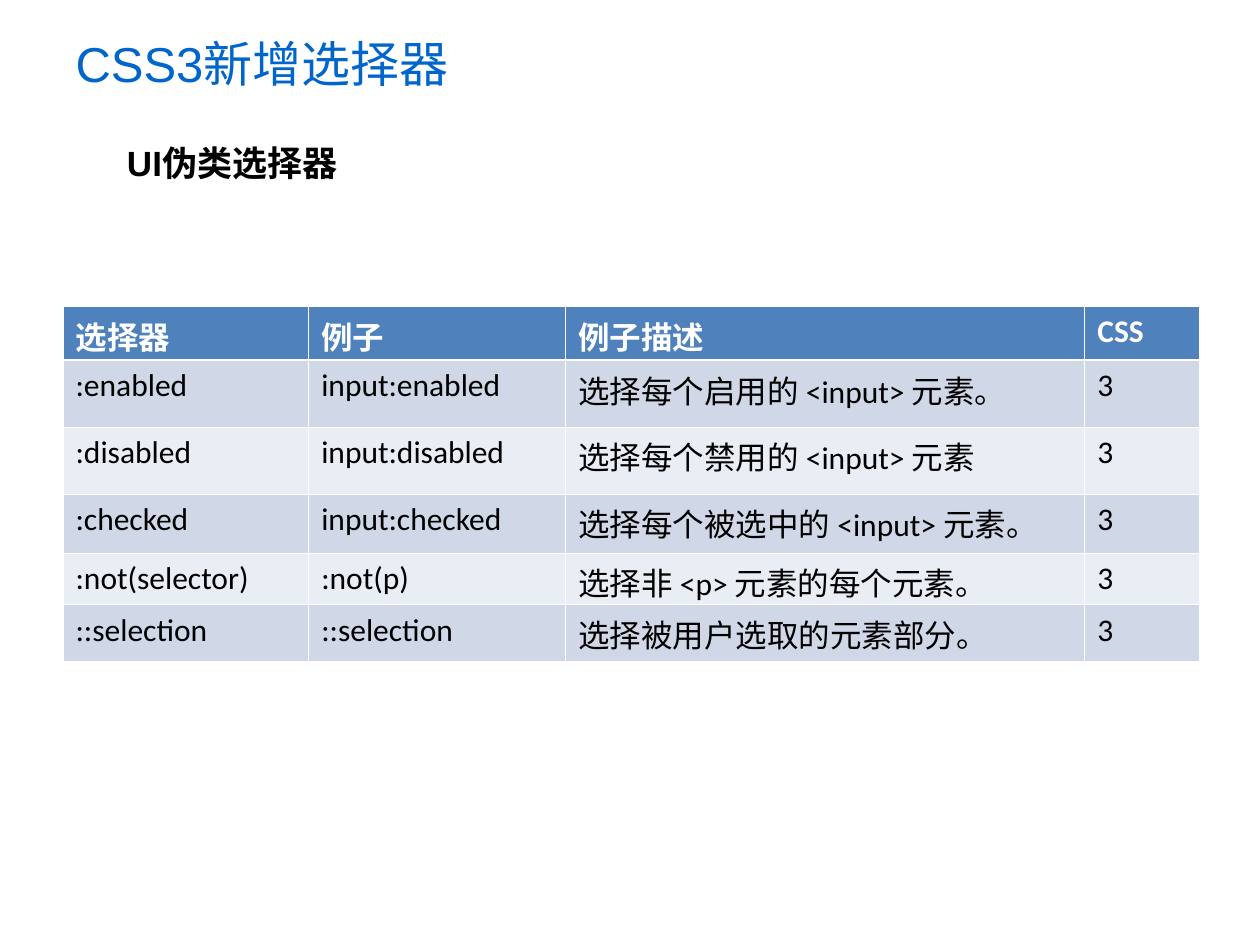
from lxml import etree
from pptx import Presentation
from pptx.dml.color import RGBColor
from pptx.enum.text import MSO_ANCHOR, PP_ALIGN
from pptx.oxml.ns import qn
from pptx.util import Inches, Pt

LEFT = PP_ALIGN.LEFT
MIDDLE = MSO_ANCHOR.MIDDLE
TITLE_ONLY = 5

COLOURS = {
    "title": "0066CC",
    "text": "000000",
    "white": "FFFFFF",
    "header": "4F81BD",
    "band_dark": "D0D8E8",
    "band_light": "E9EDF4",
}
THIN, THICK = 0.45, 1.47

COLUMN_WIDTHS = [1.95, 2.04, 4.12, 0.91]
ROW_HEIGHTS = [0.43, 0.53, 0.53, 0.47, 0.41, 0.45]
SELECTOR_ROWS = [
    ("选择器", "例子", "例子描述", "CSS"),
    (":enabled", "input:enabled", "选择每个启用的 <input> 元素。", "3"),
    (":disabled", "input:disabled", "选择每个禁用的 <input> 元素", "3"),
    (":checked", "input:checked", "选择每个被选中的 <input> 元素。", "3"),
    (":not(selector)", ":not(p)", "选择非 <p> 元素的每个元素。", "3"),
    ("::selection", "::selection", "选择被用户选取的元素部分。", "3"),
]


def colour(name):
    return RGBColor.from_string(COLOURS[name])


def write_text(frame, text, size, font, colour_name, bold=False):
    para = frame.paragraphs[0]
    para.alignment = LEFT
    span = para.add_run()
    span.text = text
    span.font.size = Pt(size)
    span.font.name = font
    span.font.bold = bold
    span.font.color.rgb = colour(colour_name)


def place(shape, left, top, width, height):
    shape.left, shape.top = Inches(left), Inches(top)
    shape.width, shape.height = Inches(width), Inches(height)


def set_borders(cell, widths):
    """Draw white borders; widths maps each side's tag to points."""
    properties = cell._tc.get_or_add_tcPr()
    for index, (side, width) in enumerate(widths.items()):
        line = etree.Element(qn(f"a:{side}"), w=str(int(Pt(width))))
        fill = etree.SubElement(line, qn("a:solidFill"))
        etree.SubElement(fill, qn("a:srgbClr"), val=COLOURS["white"])
        properties.insert(index, line)


def add_title(page, left, top, width, height):
    title = page.shapes.title
    place(title, left, top, width, height)
    title.text_frame.vertical_anchor = MIDDLE
    write_text(title.text_frame, "CSS3新增选择器", 28, "Arial", "title")


def add_subtitle(page, left, top, width, height):
    box = page.shapes.add_textbox(*map(Inches, (left, top, width, height)))
    box.text_frame.word_wrap = True
    write_text(box.text_frame, "UI伪类选择器", 20, "Arial", "text", bold=True)


def add_selector_table(page, left, top):
    frame = page.shapes.add_table(
        len(ROW_HEIGHTS), len(COLUMN_WIDTHS), Inches(left), Inches(top),
        Inches(sum(COLUMN_WIDTHS)), Inches(sum(ROW_HEIGHTS)))
    table = frame.table
    for column, width in zip(table.columns, COLUMN_WIDTHS):
        column.width = Inches(width)
    for row, height in zip(table.rows, ROW_HEIGHTS):
        row.height = Inches(height)

    for row_index, texts in enumerate(SELECTOR_ROWS):
        header = row_index == 0
        band = "band_dark" if row_index % 2 else "band_light"
        borders = {
            "lnL": THIN,
            "lnR": THIN,
            "lnT": THICK if row_index == 1 else THIN,
            "lnB": THICK if header else THIN,
        }
        for column_index, text in enumerate(texts):
            cell = table.cell(row_index, column_index)
            cell.fill.solid()
            cell.fill.fore_color.rgb = colour("header" if header else band)
            set_borders(cell, borders)
            write_text(cell.text_frame, text, 18, "Calibri",
                       "white" if header else "text", bold=header)


def main():
    deck = Presentation()
    deck.slide_width, deck.slide_height = Inches(10), Inches(7.5)
    page = deck.slides.add_slide(deck.slide_layouts[TITLE_ONLY])
    page.background.fill.solid()
    page.background.fill.fore_color.rgb = colour("white")

    # Headings
    add_title(page, 0.5, 0, 7.65, 1)
    add_subtitle(page, 0.91, 1.07, 2.44, 0.44)

    # Selector reference
    add_selector_table(page, 0.5, 2.43)

    deck.save("out.pptx")


if __name__ == "__main__":
    main()
